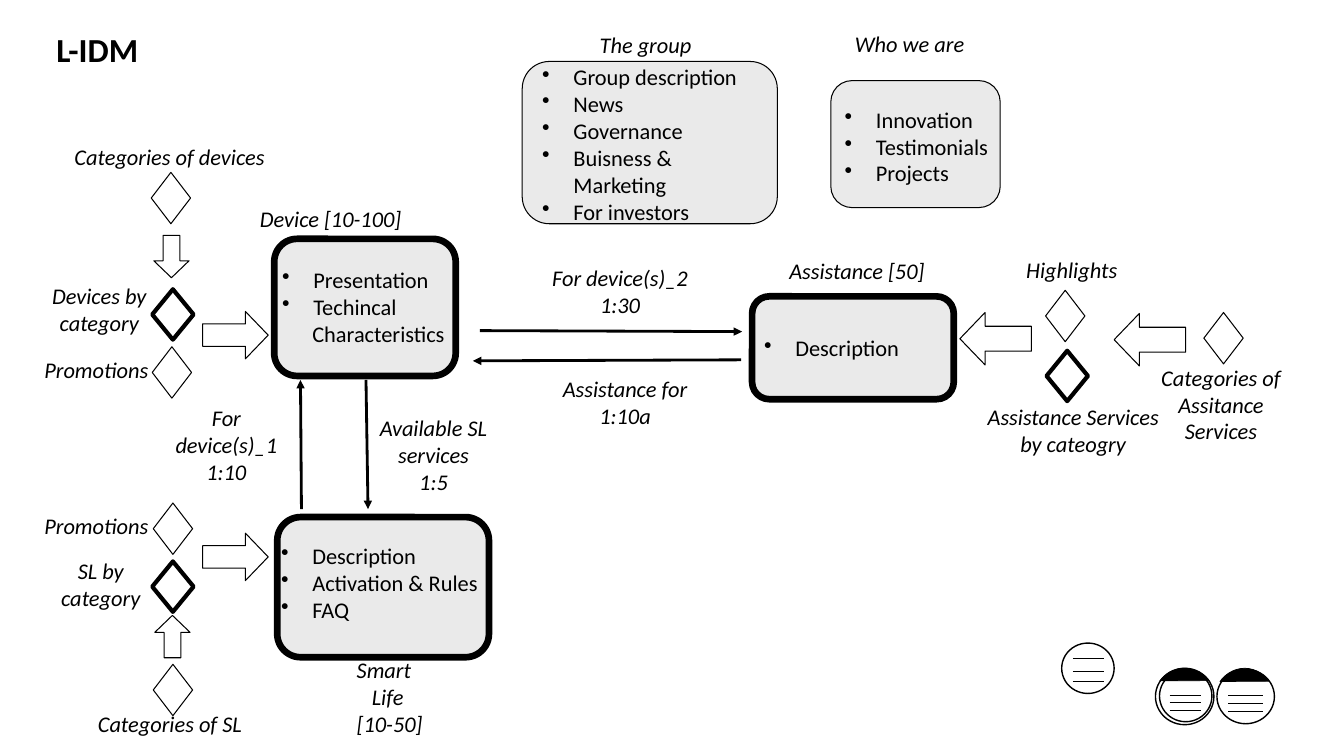
from dataclasses import dataclass
from typing import NamedTuple

from lxml import etree
from pptx import Presentation
from pptx import util as u
from pptx.dml.color import RGBColor
from pptx.enum import shapes, text
from pptx.oxml import ns

PX = 9144  # EMU per px, 100 px to the inch
KIND = shapes.MSO_SHAPE


@dataclass(frozen=True)
class Theme:
    font: str = "Calibri"
    ink: str = "000000"
    paper: str = "FFFFFF"
    grey: str = "EAEAEA"
    body: int = 16
    title: int = 24
    hair: float = 0.75
    cap: float = 0.5
    ring: float = 1
    link: float = 2
    bold: float = 3
    frame: float = 4.75


T = Theme()


class Box(NamedTuple):
    x: int
    y: int
    w: int
    h: int


class Para(NamedTuple):
    text: str
    pad: int = 0
    dot: bool = False


class Label(NamedTuple):
    box: Box
    lines: list[Para]
    centre: bool = False
    wrap: bool = False
    italic: bool = True


class Panel(NamedTuple):
    box: Box
    width: float


class Arrow(NamedTuple):
    box: Box
    turn: int = 0


class Gem(NamedTuple):
    x: int
    y: int
    bold: bool = False


class Link(NamedTuple):
    x1: int
    y1: int
    x2: int
    y2: int


class Page(NamedTuple):
    rings: list[Box]
    left: int
    right: int
    rows: list[int]
    cap: Box | None = None


def paras(*lines: str) -> list[Para]:
    return [Para(line) for line in lines]


def dots(*lines: str) -> list[Para]:
    return [Para(line, 31, True) for line in lines]


def emu(nums) -> list[int]:
    return [n * PX for n in nums]


def write(frame, lines: list[Para], *, size: int = T.body, bold: bool = False,
          italic: bool = False, centre: bool = False, wrap: bool = False) -> None:
    frame.word_wrap = wrap
    for i, line in enumerate(lines):
        para = frame.paragraphs[0] if i == 0 else frame.add_paragraph()
        para.alignment = text.PP_ALIGN.CENTER if centre else text.PP_ALIGN.LEFT
        run = para.add_run()
        run.text = line.text
        font = run.font
        font.name, font.size = T.font, u.Pt(size)
        font.bold, font.italic = bold, italic
        font.color.rgb = RGBColor.from_string(T.ink)
        props = para._p.get_or_add_pPr()
        if line.pad:
            props.set("marL", str(line.pad * PX))
        if line.dot:
            props.set("indent", str(-line.pad * PX))
            etree.SubElement(props, ns.qn("a:buChar")).set("char", "•")


def note(tree, box: Box, lines: list[Para], **style) -> None:
    frame = tree.add_textbox(*emu(box)).text_frame
    write(frame, lines, **style)
    frame.auto_size = text.MSO_AUTO_SIZE.SHAPE_TO_FIT_TEXT


def draw(tree, kind, box: Box, *, fill: str | None, width: float,
         adj: tuple[float, ...] = (), turn: int = 0):
    form = tree.add_shape(kind, *emu(box))
    form.shadow.inherit = False
    form.rotation = turn
    for i, value in enumerate(adj):
        form.adjustments[i] = value
    if fill:
        form.fill.solid()
        form.fill.fore_color.rgb = RGBColor.from_string(fill)
    else:
        form.fill.background()
    form.line.color.rgb = RGBColor.from_string(T.ink)
    form.line.width = u.Pt(width)
    return form


def join(tree, link: Link, *, width: float, tip: bool = False) -> None:
    line = tree.add_connector(shapes.MSO_CONNECTOR.STRAIGHT, *emu(link))
    line.line.color.rgb = RGBColor.from_string(T.ink)
    line.line.width = u.Pt(width)
    if tip:
        stroke = line.line._get_or_add_ln()
        etree.SubElement(stroke, ns.qn("a:tailEnd")).set("type", "triangle")
    etree.SubElement(line._element.spPr, ns.qn("a:effectLst"))


def stamp(tree, page: Page) -> None:
    group = tree.add_group_shape().shapes
    for ring in page.rings:
        draw(group, KIND.OVAL, ring, fill=T.paper, width=T.ring)
    for y in page.rows:
        join(group, Link(page.left, y, page.right, y), width=T.ring)
    if page.cap:
        draw(group, KIND.CHORD, page.cap, fill=T.ink, width=T.cap, adj=(133.506, 190.193))


PAGES = [
    Page([Box(1053, 638, 52, 50)], 1064, 1095, [653, 666, 676]),
    Page([Box(1207, 664, 57, 54)], 1218, 1253, [690, 698, 706], Box(1203, 663, 63, 71)),
    Page([Box(1146, 663, 58, 56), Box(1150, 665, 52, 51)], 1160, 1191, [690, 697, 705],
         Box(1143, 663, 64, 70)),
]
PANELS = [
    Panel(Box(518, 61, 253, 161), T.hair),
    Panel(Box(824, 80, 168, 126), T.hair),
    Panel(Box(272, 237, 180, 136), T.frame),
    Panel(Box(275, 513, 210, 139), T.frame),
]
HELP = Panel(Box(746, 294, 200, 102), T.frame)
ARROWS = [
    Arrow(Box(201, 309, 65, 47)), Arrow(Box(201, 529, 65, 47)),
    Arrow(Box(149, 237, 42, 35), 90), Arrow(Box(150, 614, 42, 35), 270),
    Arrow(Box(952, 310, 71, 52), 180), Arrow(Box(1105, 311, 71, 52), 180),
]
GEMS = [
    Gem(150, 171), Gem(151, 287, True), Gem(151, 344),
    Gem(152, 499), Gem(151, 557, True), Gem(152, 659),
    Gem(1037, 288), Gem(1038, 348, True), Gem(1194, 310),
]
LINKS = [
    Link(299, 505, 298, 377), Link(363, 377, 365, 505),
    Link(476, 328, 736, 329), Link(735, 357, 469, 358),
]
LABELS = [
    # Panel names
    Label(Box(585, 26, 113, 37), paras("The group")),
    Label(Box(838, 25, 130, 37), paras("Who we are")),
    Label(Box(248, 199, 162, 37), paras("Device [10-100]")),
    Label(Box(773, 250, 156, 37), paras("Assistance [50]")),
    Label(Box(344, 646, 86, 91), [Para("Smart"), Para("Life", 15), Para("[10-50]")]),
    # Names beside the diamonds
    Label(Box(64, 137, 211, 37), paras("Categories of devices")),
    Label(Box(41, 275, 115, 64), paras("Devices by", "category"), True),
    Label(Box(33, 348, 125, 37), paras("Promotions"), True),
    Label(Box(33, 503, 125, 37), paras("Promotions"), True),
    Label(Box(50, 548, 100, 64), paras("SL by", "category"), True),
    Label(Box(86, 700, 165, 37), paras("Categories of SL"), True),
    Label(Box(1007, 249, 112, 37), paras("Highlights"), True),
    Label(Box(966, 395, 197, 64), paras("Assistance Services", "by cateogry"), True),
    Label(Box(1125, 356, 172, 91), paras("Categories of", "Assitance Services"), True, True),
    # Link names
    Label(Box(152, 396, 145, 118), paras("For device(s)_1", "1:10"), True, True),
    Label(Box(522, 257, 186, 64), paras("For device(s)_2", "1:30"), True, True),
    Label(Box(357, 406, 146, 91), paras("Available SL services", "1:5"), True, True),
    Label(Box(537, 367, 166, 64), paras("Assistance for", "1:10a"), True, True),
    # Panel lists
    Label(Box(528, 58, 234, 172), dots("Group description", "News", "Governance",
          "Buisness & Marketing", "For investors"), wrap=True, italic=False),
    Label(Box(828, 100, 164, 121), dots("Innovation", "Testimonials", "Projects"), italic=False),
    Label(Box(270, 259, 184, 121), dots("Presentation", "Techincal")
          + [Para("Characteristics", 30)], italic=False),
    Label(Box(269, 533, 218, 91), dots("Description", "Activation & Rules", "FAQ"), italic=False),
]


def main() -> None:
    deck = Presentation()
    deck.slide_width, deck.slide_height = emu((1333, 750))
    tree = deck.slides.add_slide(deck.slide_layouts[6]).shapes

    note(tree, Box(46, 24, 122, 50), paras("L-IDM"), size=T.title, bold=True, wrap=True)
    for page in PAGES:
        stamp(tree, page)

    # Panels, the last with its own text
    for panel in PANELS + [HELP]:
        form = draw(tree, KIND.ROUNDED_RECTANGLE, panel.box, fill=T.grey,
                    width=panel.width, adj=(0.167,))
    frame = form.text_frame
    frame.margin_left = frame.margin_right = 7 * PX
    frame.margin_top = frame.margin_bottom = 3 * PX
    frame.vertical_anchor = text.MSO_ANCHOR.MIDDLE
    write(frame, dots("Description"))

    # Flow
    for link in LINKS:
        join(tree, link, width=T.link, tip=True)
    for arrow in ARROWS:
        draw(tree, KIND.RIGHT_ARROW, arrow.box, fill=None, width=T.hair,
             adj=(0.475, 0.48), turn=arrow.turn)
    for gem in GEMS:
        size = (41, 50) if gem.bold else (39, 51)
        draw(tree, KIND.DIAMOND, Box(gem.x, gem.y, *size), fill=T.paper,
             width=T.bold if gem.bold else T.hair)

    # Text
    for item in LABELS:
        note(tree, item.box, item.lines, centre=item.centre, wrap=item.wrap, italic=item.italic)

    deck.save("out.pptx")


if __name__ == "__main__":
    main()
